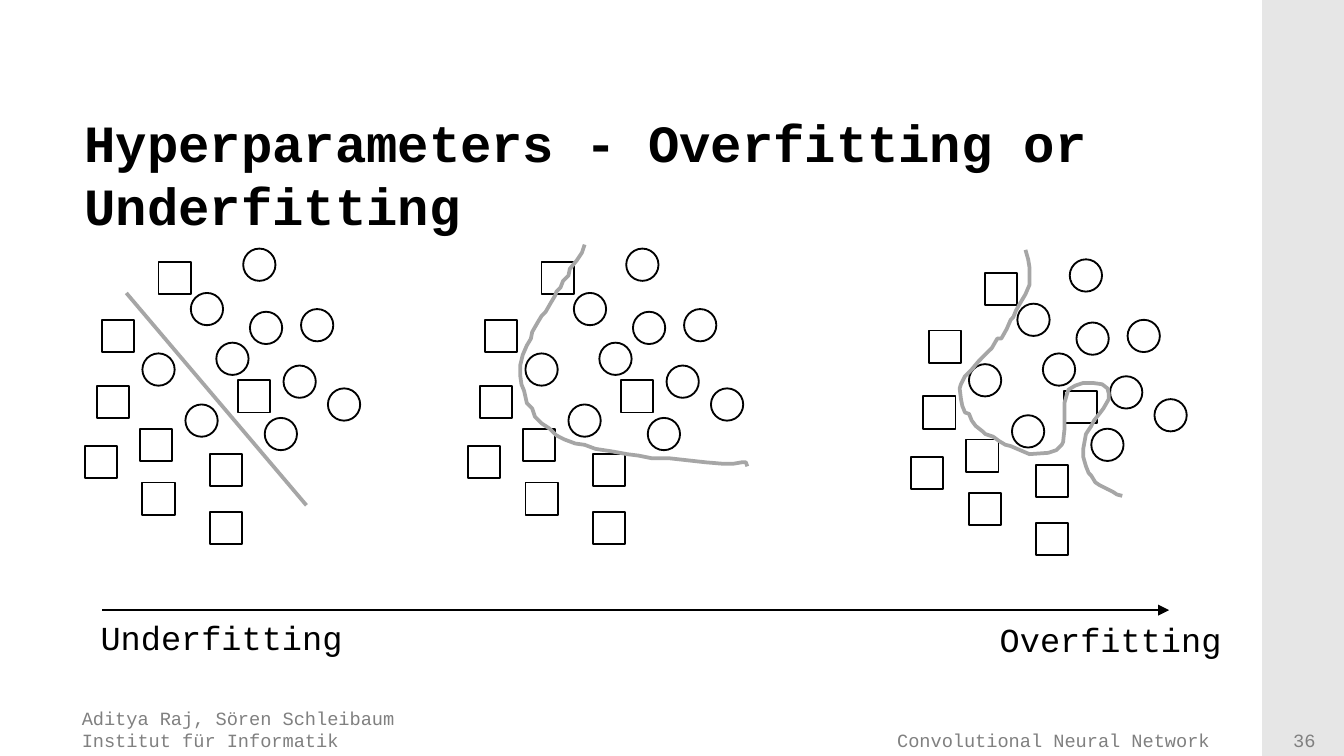
from lxml.etree import SubElement
from pptx import Presentation
from pptx.dml.color import RGBColor
from pptx.enum.shapes import MSO_CONNECTOR, MSO_SHAPE
from pptx.enum.text import MSO_ANCHOR, MSO_AUTO_SIZE, PP_ALIGN
from pptx.oxml.ns import qn
from pptx.util import Inches, Pt

BLACK, GREY, CURVE, PANEL = "000000", "808080", "A6A6A6", "E6E6E6"
MONO = "Courier New"
WIDTH = 10
HEIGHT = WIDTH * 9 / 16
SIZE = 0.24

# Top left corners of the marks in the first cluster
SQUARES = [(0.76, 2.38), (1.18, 1.95), (1.77, 2.83), (1.56, 3.38), (0.72, 2.87),
           (1.04, 3.19), (0.63, 3.32), (1.06, 3.59), (1.56, 3.81)]
CIRCLES = [(1.42, 2.18), (1.86, 2.32), (1.61, 2.55), (1.81, 1.85), (1.06, 2.63),
           (1.38, 3.01), (2.11, 2.72), (2.24, 2.3), (1.97, 3.11), (2.44, 2.89)]
# Shift of each cluster from the first one
SHIFTS = [(0, 0), (2.85, 0), (6.15, 0.08)]

GOOD_FIT = [
    (4.35, 1.82), (4.33, 1.88), (4.29, 1.94), (4.24, 2), (4.23, 2.05), (4.19, 2.09),
    (4.17, 2.14), (4.14, 2.17), (4.13, 2.2), (4.1, 2.25), (4.06, 2.32), (4.03, 2.35),
    (4, 2.4), (3.96, 2.47), (3.95, 2.52), (3.92, 2.57), (3.89, 2.64), (3.87, 2.72),
    (3.87, 2.79), (3.88, 2.86), (3.9, 2.91), (3.92, 3), (3.96, 3.04), (3.98, 3.1),
    (4.03, 3.15), (4.09, 3.19), (4.14, 3.24), (4.2, 3.27), (4.28, 3.3), (4.35, 3.31),
    (4.43, 3.34), (4.56, 3.36), (4.67, 3.38), (4.75, 3.39), (4.85, 3.41), (4.98, 3.41),
    (5.25, 3.44), (5.37, 3.45), (5.46, 3.45), (5.52, 3.44), (5.55, 3.44), (5.56, 3.47)]
OVER_FIT = [
    (7.63, 1.86), (7.65, 1.93), (7.66, 1.99), (7.66, 2.12), (7.63, 2.19), (7.6, 2.24),
    (7.56, 2.31), (7.54, 2.36), (7.52, 2.38), (7.49, 2.45), (7.45, 2.52), (7.42, 2.52),
    (7.38, 2.59), (7.34, 2.63), (7.28, 2.69), (7.23, 2.75), (7.18, 2.8), (7.15, 2.86),
    (7.14, 2.89), (7.15, 2.97), (7.16, 3.02), (7.18, 3.07), (7.21, 3.08), (7.23, 3.13),
    (7.26, 3.17), (7.31, 3.21), (7.33, 3.23), (7.39, 3.25), (7.43, 3.28), (7.48, 3.31),
    (7.52, 3.32), (7.59, 3.35), (7.66, 3.38), (7.8, 3.37), (7.86, 3.35), (7.9, 3.31),
    (7.91, 3.29), (7.92, 3.2), (7.92, 3), (7.94, 2.93), (7.95, 2.9), (8, 2.87),
    (8.06, 2.85), (8.13, 2.85), (8.2, 2.86), (8.24, 2.89), (8.25, 2.93), (8.25, 2.97),
    (8.21, 3.04), (8.18, 3.08), (8.14, 3.13), (8.12, 3.17), (8.08, 3.23), (8.06, 3.34),
    (8.06, 3.4), (8.08, 3.47), (8.1, 3.52), (8.12, 3.54), (8.15, 3.59), (8.18, 3.61),
    (8.24, 3.64), (8.28, 3.66), (8.31, 3.68), (8.35, 3.69)]


def paint(color, tone):
    color.rgb = RGBColor.from_string(tone)


def outline(shape, tone, width):
    paint(shape.line.color, tone)
    shape.line.width = Pt(width)


def write(frame, lines, size, tone=BLACK, bold=False, align=PP_ALIGN.LEFT, **layout):
    form = {"word_wrap": True, "auto_size": MSO_AUTO_SIZE.NONE,
            "vertical_anchor": MSO_ANCHOR.TOP, **layout}
    for name, value in form.items():
        setattr(frame, name, value)
    frame.text = "\n".join(lines)
    for para in frame.paragraphs:
        para.alignment = align
        for name, value in {"name": MONO, "size": Pt(size), "bold": bold}.items():
            setattr(para.font, name, value)
        paint(para.font.color, tone)


def add_text(slide, box, lines, size, **form):
    shape = slide.shapes.add_textbox(*map(Inches, box))
    write(shape.text_frame, lines, size, **form)


def add_line(slide, start, end, tone, width, arrow=False):
    ends = [Inches(n) for n in (*start, *end)]
    line = slide.shapes.add_connector(MSO_CONNECTOR.STRAIGHT, *ends)
    outline(line, tone, width)
    if arrow:
        SubElement(line.line._get_or_add_ln(), qn("a:tailEnd"), type="triangle")
    SubElement(line._element.spPr, qn("a:effectLst"))


def add_curve(slide, points):
    first, *rest = [(Inches(x), Inches(y)) for x, y in points]
    pen = slide.shapes.build_freeform(*first)
    pen.add_line_segments(rest, close=False)
    curve = pen.convert_to_shape()
    curve.shadow.inherit = False
    curve.fill.background()
    outline(curve, CURVE, 2)


def add_marks(slide, kind, spots, shift):
    for x, y in spots:
        box = (x + shift[0], y + shift[1], SIZE, SIZE)
        mark = slide.shapes.add_shape(kind, *map(Inches, box))
        mark.shadow.inherit = False
        mark.fill.background()
        outline(mark, BLACK, 1)


def add_panel(slide):
    box = (9.39, 0, 0.61, HEIGHT)
    panel = slide.shapes.add_shape(MSO_SHAPE.RECTANGLE, *map(Inches, box))
    panel.shadow.inherit = False
    panel.fill.solid()
    paint(panel.fill.fore_color, PANEL)
    panel.line.fill.background()


def add_title(slide, box, text):
    title = slide.shapes.title
    for name, value in zip(("left", "top", "width", "height"), box):
        setattr(title, name, Inches(value))
    write(title.text_frame, [text], 28, bold=True)


def main():
    deck = Presentation()
    deck.slide_width, deck.slide_height = Inches(WIDTH), Inches(HEIGHT)
    slide = deck.slides.add_slide(deck.slide_layouts[5])

    # Side panel and footer
    add_panel(slide)
    add_text(slide, (0.51, 5.21, 4.25, 0.44),
             ["Aditya Raj, Sören Schleibaum", "Institut für Informatik"], 10, tone=GREY)
    low = {"tone": GREY, "vertical_anchor": MSO_ANCHOR.BOTTOM,
           "margin_bottom": Inches(0.06)}
    add_text(slide, (4.85, 5.25, 4.33, 0.4), ["Convolutional Neural Network"], 10,
             align=PP_ALIGN.RIGHT, margin_right=Inches(0.18), **low)
    add_text(slide, (9.45, 5.38, 0.51, 0.27), ["36"], 10,
             align=PP_ALIGN.CENTER, **low)

    add_title(slide, (0.53, 0.77, 8.64, 0.57),
              "Hyperparameters - Overfitting or Underfitting")

    # Three clusters, each with its decision boundary
    add_line(slide, (0.94, 2.18), (2.28, 3.76), CURVE, 2)
    for shift in SHIFTS:
        add_marks(slide, MSO_SHAPE.RECTANGLE, SQUARES, shift)
        add_marks(slide, MSO_SHAPE.OVAL, CIRCLES, shift)
    add_curve(slide, GOOD_FIT)
    add_curve(slide, OVER_FIT)

    # Scale from underfitting to overfitting
    add_line(slide, (0.76, 4.54), (8.7, 4.54), BLACK, 0.75, arrow=True)
    add_text(slide, (0.65, 4.54, 2.47, 0.4), ["Underfitting"], 18)
    add_text(slide, (7.34, 4.56, 2.47, 0.4), ["Overfitting"], 18)

    deck.save("out.pptx")


if __name__ == "__main__":
    main()
